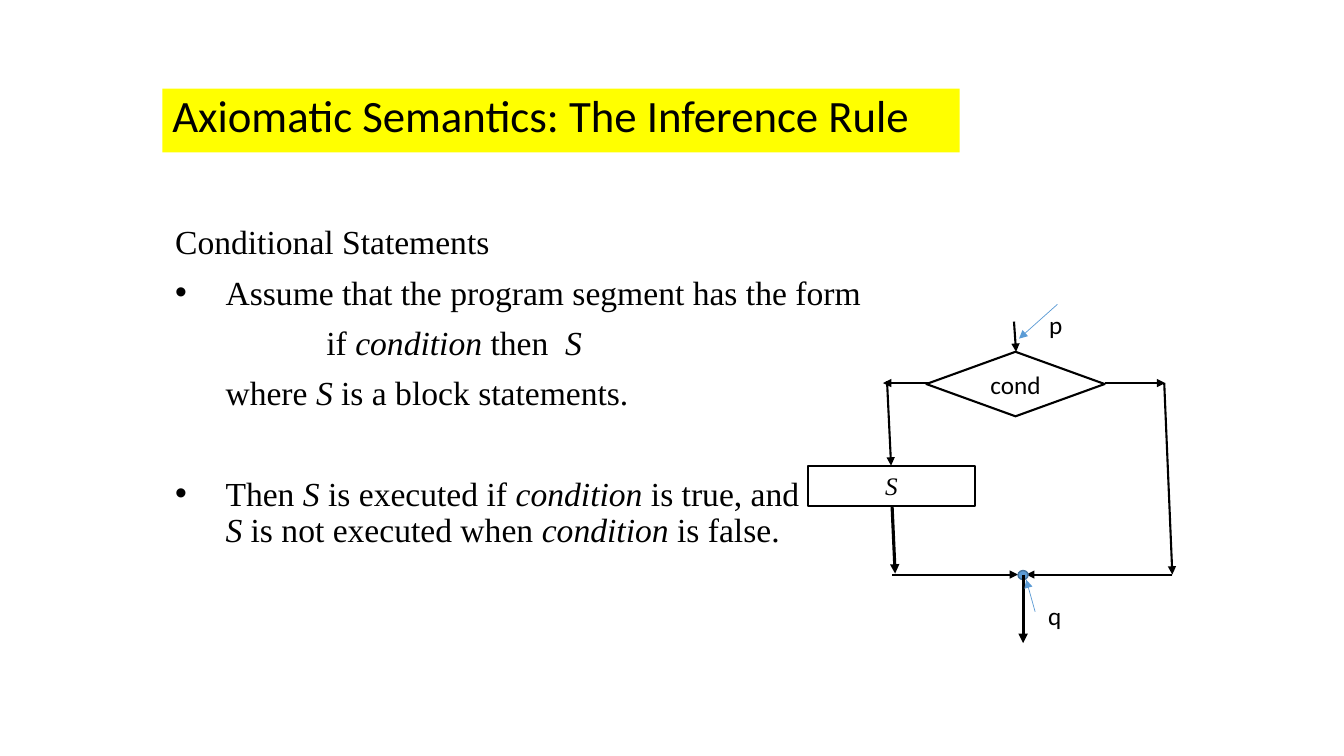
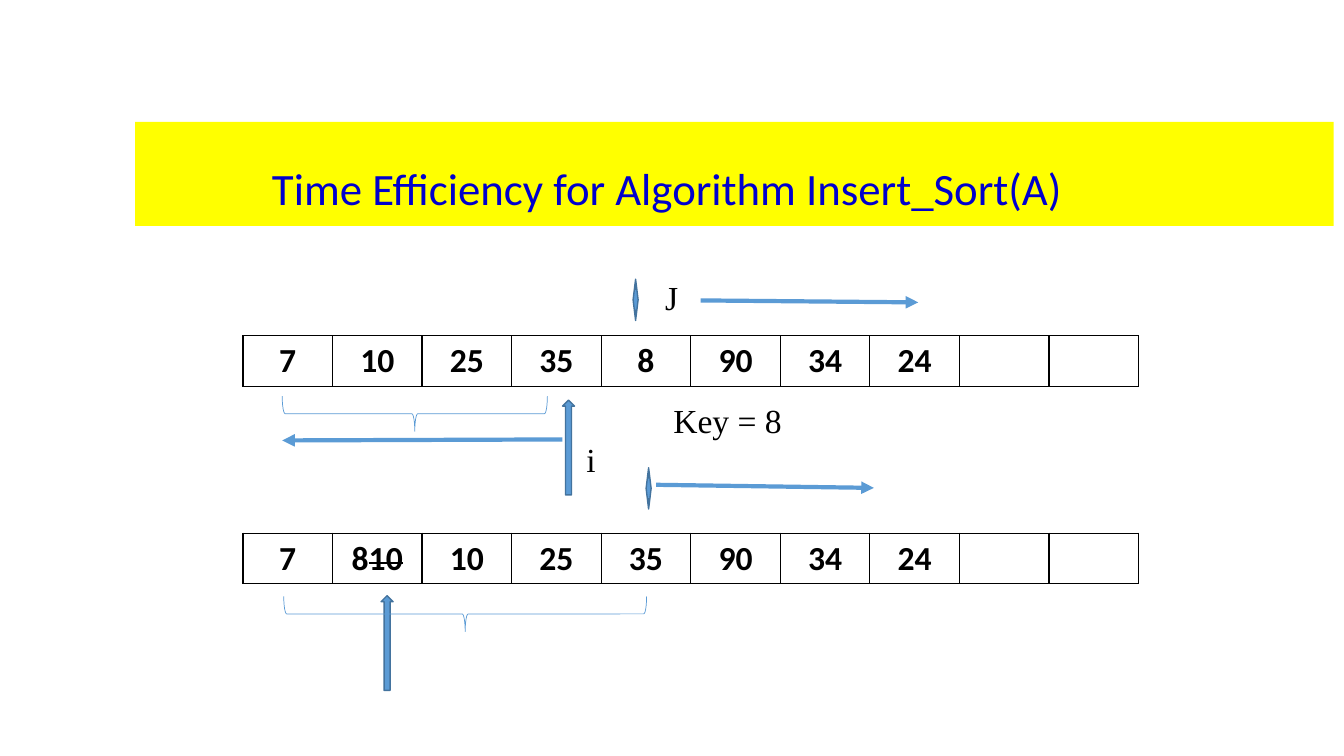
from dataclasses import dataclass

from lxml.etree import SubElement
from pptx import Presentation
from pptx.dml.color import RGBColor
from pptx.enum.shapes import MSO_CONNECTOR, MSO_SHAPE
from pptx.enum.text import MSO_ANCHOR, PP_ALIGN
from pptx.oxml.ns import qn
from pptx.util import Pt


@dataclass(frozen=True)
class Type:
    """Look of a text; marked is the attribute given to *starred* parts."""
    font: str
    size: float
    color: str = "000000"
    bold: bool = False
    marked: tuple = ("i", "1")


class Theme:
    black, white, yellow = "000000", "FFFFFF", "FFFF00"
    blue, dark_blue = "5B9BD5", "43739E"
    title = Type("Calibri", 32)
    title_blue = Type("Calibri", 32, "0000CC")
    body = Type("Times New Roman", 24)
    label = Type("Calibri", 18)
    block = Type("Times New Roman", 18)
    cell = Type("Calibri", 24, bold=True, marked=("strike", "sngStrike"))
    hairline, outline, flow, heavy, pointer = 0.5, 1, 1.5, 2.25, 3


def rgb(color):
    return RGBColor.from_string(color)


# Text
def write(p, text, style, align=PP_ALIGN.LEFT, spacing=None):
    p.alignment = align
    if spacing:
        p.line_spacing = spacing
    for n, line in enumerate(text.split("\n")):
        if n:
            p.add_line_break()
        for k, part in enumerate(line.split("*")):
            if not part:
                continue
            r = p.add_run()
            r.text = part
            r.font.name, r.font.size = style.font, Pt(style.size)
            r.font.bold = style.bold
            r.font.color.rgb = rgb(style.color)
            if k % 2:
                r.font._element.set(*style.marked)


def add_text(s, box, text, style, spacing=None):
    tf = s.shapes.add_textbox(*map(Pt, box)).text_frame
    tf.word_wrap = True
    write(tf.paragraphs[0], text, style, spacing=spacing)
    return tf


def indent(p, left, bullet=False):
    pPr = p._p.get_or_add_pPr()
    pPr.set("marL", str(Pt(left)))
    if bullet:
        pPr.set("indent", str(-Pt(left)))
        SubElement(pPr, qn("a:buFont")).set("typeface", "Arial")
        SubElement(pPr, qn("a:buChar")).set("char", "•")


# Shapes and lines
def add_shape(s, kind, box, fill=None, line=None, width=Theme.outline):
    sp = s.shapes.add_shape(kind, *map(Pt, box))
    sp.shadow.inherit = False
    if fill:
        sp.fill.solid()
        sp.fill.fore_color.rgb = rgb(fill)
    else:
        sp.fill.background()
    if line:
        sp.line.color.rgb = rgb(line)
        sp.line.width = Pt(width)
    else:
        sp.line.fill.background()
    return sp


def add_blue(s, kind, box):
    add_shape(s, kind, box, Theme.blue, Theme.dark_blue)


def add_node(s, kind, box, text, style, fill=None):
    sp = add_shape(s, kind, box, fill, Theme.black, Theme.flow)
    sp.text_frame.vertical_anchor = MSO_ANCHOR.MIDDLE
    write(sp.text_frame.paragraphs[0], text, style, PP_ALIGN.CENTER)


def add_arrow(s, points, color=Theme.black, width=Theme.flow):
    cxn = s.shapes.add_connector(MSO_CONNECTOR.STRAIGHT, *map(Pt, points))
    cxn.line.color.rgb = rgb(color)
    cxn.line.width = Pt(width)
    SubElement(cxn.line._get_or_add_ln(), qn("a:tailEnd")).set("type", "triangle")
    SubElement(cxn._element.spPr, qn("a:effectLst"))


def add_brace(s, left, top, width, depth=25.2):
    """Brace lying under a row, its tip pointing down."""
    box = (left + (width - depth) / 2, top + (depth - width) / 2, depth, width)
    add_shape(s, MSO_SHAPE.LEFT_BRACE, box, line=Theme.blue,
              width=Theme.hairline).rotation = 270


def add_title(s, band, text, style, spacing, text_box=None):
    sp = add_shape(s, MSO_SHAPE.RECTANGLE, band, Theme.yellow)
    if text_box:
        add_text(s, text_box, text, style, spacing)
    else:
        sp.text_frame.vertical_anchor = MSO_ANCHOR.TOP
        write(sp.text_frame.paragraphs[0], text, style, spacing=spacing)


# Table
def set_borders(cell):
    tcPr = cell._tc.get_or_add_tcPr()
    for side in ("lnL", "lnR", "lnT", "lnB"):
        ln = SubElement(tcPr, qn(f"a:{side}"), w=str(Pt(Theme.outline)))
        fill = SubElement(ln, qn("a:solidFill"))
        SubElement(fill, qn("a:srgbClr")).set("val", Theme.black)


def add_array(s, top, values, left=173.5, slots=10, width=64, height=36):
    box = (left, top, slots * width, height)
    table = s.shapes.add_table(1, slots, *map(Pt, box)).table
    table.first_row = table.horz_banding = False
    for k, cell in enumerate(table.iter_cells()):
        table.columns[k].width = Pt(width)
        set_borders(cell)
        cell.fill.solid()
        cell.fill.fore_color.rgb = rgb(Theme.white)
        if k < len(values):
            write(cell.text_frame.paragraphs[0], values[k], Theme.cell,
                  PP_ALIGN.CENTER)


# Slides
def inference_rule(s):
    # Statement: text, left indent, bullet, space before
    lines = [
        ("Conditional Statements", 0, False, 10),
        ("Assume that the program segment has the form", 36, True, 10),
        ("if *condition* then  *S*", 108, False, 10),
        ("where *S* is a block statements.", 36, False, 10),
        ("Then *S* is executed if *condition* is true, and\n"
         "*S* is not executed when *condition* is false.", 36, True, 46),
    ]
    tf = s.shapes.add_textbox(*map(Pt, (118, 157.7, 713.5, 289.4))).text_frame
    tf.word_wrap = True
    for k, (text, left, bullet, before) in enumerate(lines):
        p = tf.add_paragraph() if k else tf.paragraphs[0]
        write(p, text, Theme.body, spacing=0.9)
        p.space_before = Pt(before)
        indent(p, left, bullet)
    add_title(s, (116, 63.4, 569.5, 45.4),
              "Axiomatic Semantics: The Inference Rule", Theme.title, 0.9)

    # Flowchart
    add_node(s, MSO_SHAPE.DIAMOND, (661.7, 251.3, 127.4, 46.1), "cond",
             Theme.label, Theme.white)
    add_node(s, MSO_SHAPE.RECTANGLE, (577.4, 332.6, 118.8, 28.8), "*S*", Theme.block)
    branch_y, join_y = 273.6, 410.4
    for points in [
        (633.6, 272.2, 636.5, 332.6),
        (724.3, 229.7, 725.8, 251.3),
        (663.1, branch_y, 630.7, branch_y),
        (789.1, branch_y, 832.3, branch_y),
        (831.6, branch_y, 837.4, join_y),
        (637.2, join_y, 727.2, join_y),
        (837.4, join_y, 733, join_y),
    ]:
        add_arrow(s, points)
    add_arrow(s, (637.2, 361.4, 639.4, 409.7), width=Theme.heavy)
    add_blue(s, MSO_SHAPE.OVAL, (727.2, 407.5, 7.2, 6.5))
    add_arrow(s, (730.8, join_y, 730.8, 459.4), width=Theme.heavy)

    # Assertions
    for text, left, top, points in [
        ("p", 742.3, 217.4, (755.3, 217.4, 727.9, 241.9)),
        ("q", 741.6, 425.5, (739.4, 437, 733, 414)),
    ]:
        add_text(s, (left, top, 24.5, 28.8), text, Theme.label)
        add_arrow(s, points, Theme.blue, Theme.hairline)


def insert_sort(s):
    add_title(s, (96.5, 87.1, 856.1, 74.2),
              "Time Efficiency for Algorithm Insert_Sort(A)",
              Theme.title_blue, 1.07, (187.2, 108.7, 613.4, 46.8))

    # Array before and after the key is inserted
    add_array(s, 239.8, ["7", "10", "25", "35", "8", "90", "34", "24"])
    add_array(s, 380.9, ["7", "8*10*", "10", "25", "35", "90", "34", "24"])

    # Index markers, sorted ranges and scan directions
    for left, top in [(452.2, 199.4), (461.5, 334.1)]:
        add_blue(s, MSO_SHAPE.LEFT_RIGHT_ARROW, (left, top, 3.6, 29.5))
    for left, top in [(401.8, 285.8), (272.2, 425.5)]:
        add_blue(s, MSO_SHAPE.UP_ARROW, (left, top, 8.6, 67.7))
    for left, top, width in [(201.6, 282.9, 189.4), (202.7, 425.9, 259.2)]:
        add_brace(s, left, top, width)
    for points in [
        (500.4, 214.6, 655.9, 216),
        (401.8, 313.9, 201.6, 314.6),
        (468.7, 346.3, 624.2, 348.5),
    ]:
        add_arrow(s, points, Theme.blue, Theme.pointer)

    # Labels
    for text, left, top, width in [
        ("J", 468, 194.4, 56.2),
        ("i", 411.8, 310.3, 56.2),
        ("Key = 8", 473.8, 282.2, 104.4),
    ]:
        add_text(s, (left, top, width, 36), text, Theme.body)


def main():
    prs = Presentation()
    prs.slide_width, prs.slide_height = Pt(960), Pt(540)
    for build in (inference_rule, insert_sort):
        build(prs.slides.add_slide(prs.slide_layouts[6]))
    prs.save("out.pptx")


if __name__ == "__main__":
    main()
